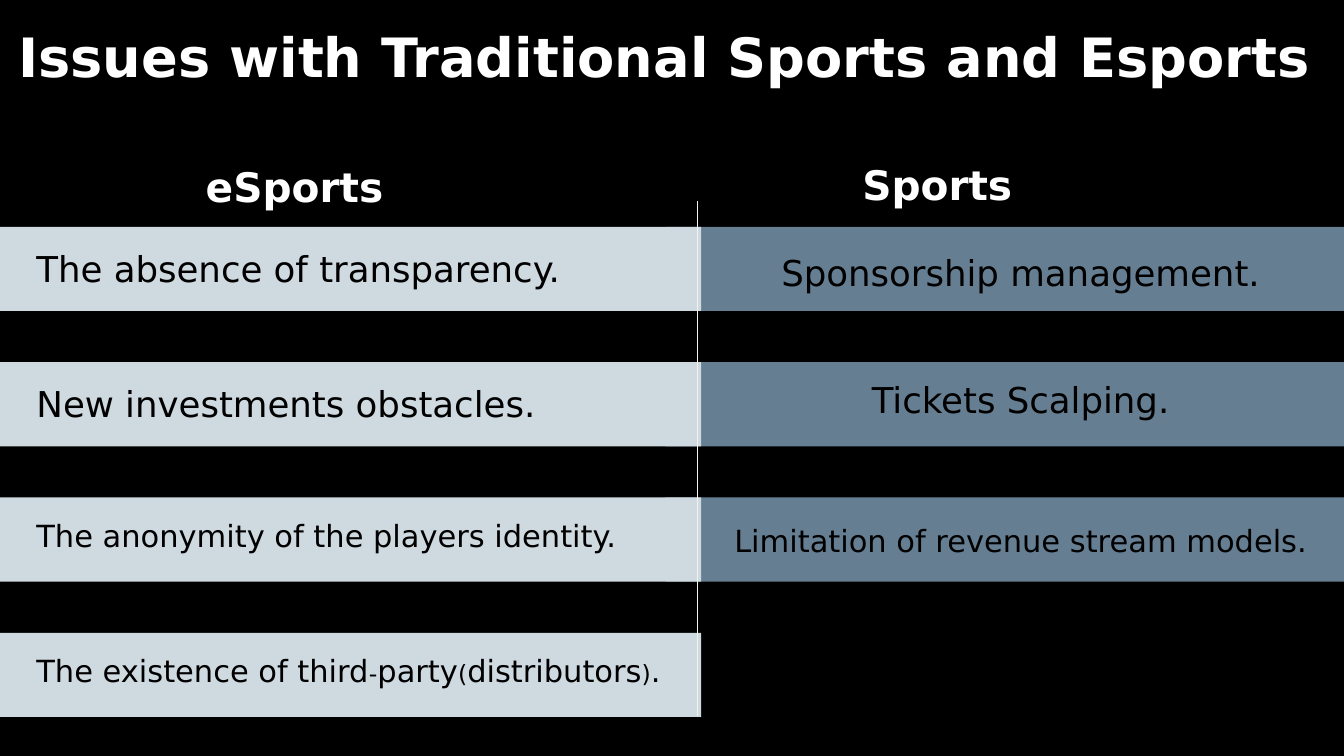
import pptx
import pptx.dml.color
import pptx.enum.shapes
import pptx.enum.text
import pptx.oxml.ns
import pptx.util
from lxml import etree

Inches = pptx.util.Inches
Pt = pptx.util.Pt
RGBColor = pptx.dml.color.RGBColor
Align = pptx.enum.text.PP_ALIGN

BLACK = RGBColor(0x00, 0x00, 0x00)
WHITE = RGBColor(0xFF, 0xFF, 0xFF)
DIVIDER = RGBColor(0xF2, 0xF2, 0xF2)
PALE = RGBColor(0xCF, 0xD9, 0xE0)
SLATE = RGBColor(0x66, 0x7E, 0x92)
FONT = "DejaVu Sans"

WIDTH, HEIGHT = 11.02, 6.2
FIRST_ROW, ROW_PITCH, BAR_HEIGHT = 1.86, 1.11, 0.69
LEFT_BAR_END, RIGHT_BAR_START, DIVIDER_X = 5.75, 5.46, 5.72
LEFT_TEXT, RIGHT_TEXT = 0.2, 5.77
TEXT_WIDTH = 5.2

# Each item: offset of the text below the top of its bar, then (text, size) spans
ESPORTS = [
    (0.12, [("The absence of transparency.", 21)]),
    (0.11, [("New investments obstacles.", 21)]),
    (0.11, [("The anonymity of the players identity.", 18)]),
    (0.11, [("The existence of third", 18), ("-", 14), ("party", 18), ("(", 14),
            ("distributors", 18), (")", 14), (".", 18)]),
]
SPORTS = [
    (0.15, [("Sponsorship management.", 21)]),
    (0.08, [("Tickets Scalping.", 21)]),
    (0.15, [("Limitation of revenue stream models.", 18)]),
]


def fill_text(box, spans, color, align, bold=False):
    """Write (text, size) spans into a box as one paragraph."""
    frame = box.text_frame
    frame.word_wrap = True
    frame.auto_size = pptx.enum.text.MSO_AUTO_SIZE.NONE
    frame.vertical_anchor = pptx.enum.text.MSO_ANCHOR.TOP
    para = frame.paragraphs[0]
    para.alignment = align
    for text, size in spans:
        span = para.add_run()
        span.text = text
        span.font.name = FONT
        span.font.size = Pt(size)
        span.font.bold = bold
        span.font.color.rgb = color


deck = pptx.Presentation()
deck.slide_width, deck.slide_height = Inches(WIDTH), Inches(HEIGHT)
page = deck.slides.add_slide(deck.slide_layouts[5])
page.background.fill.solid()
page.background.fill.fore_color.rgb = BLACK

title = page.shapes.title
title.left, title.top = Inches(0.05), Inches(0.14)
title.width, title.height = Inches(10.95), Inches(0.63)
fill_text(title, [("Issues with Traditional Sports and Esports", 32)], WHITE, Align.LEFT, True)

# Bars: the pale column lies over the start of the slate one
columns = [
    (SPORTS, RIGHT_BAR_START, WIDTH - RIGHT_BAR_START, SLATE),
    (ESPORTS, 0, LEFT_BAR_END, PALE),
]
for items, left, width, color in columns:
    for row in range(len(items)):
        bar = page.shapes.add_shape(
            pptx.enum.shapes.MSO_SHAPE.RECTANGLE, Inches(left),
            Inches(FIRST_ROW + row * ROW_PITCH), Inches(width), Inches(BAR_HEIGHT))
        bar.shadow.inherit = False
        bar.fill.solid()
        bar.fill.fore_color.rgb = color
        bar.line.fill.background()

divider = page.shapes.add_connector(
    pptx.enum.shapes.MSO_CONNECTOR.STRAIGHT,
    Inches(DIVIDER_X), Inches(1.65), Inches(DIVIDER_X), Inches(5.87))
divider.line.color.rgb = DIVIDER
divider.line.width = Pt(0.75)
etree.SubElement(divider.element.spPr, pptx.oxml.ns.qn("a:effectLst"))

for heading, left, top in [("eSports", 1.46, 1.28), ("Sports", 6.73, 1.26)]:
    box = page.shapes.add_textbox(Inches(left), Inches(top), Inches(1.91), Inches(0.5))
    fill_text(box, [(heading, 24)], WHITE, Align.CENTER, True)

for items, left, align in [(ESPORTS, LEFT_TEXT, Align.LEFT), (SPORTS, RIGHT_TEXT, Align.CENTER)]:
    for row, (offset, spans) in enumerate(items):
        box = page.shapes.add_textbox(
            Inches(left), Inches(FIRST_ROW + row * ROW_PITCH + offset),
            Inches(TEXT_WIDTH + 0.2), Inches(0.45))
        box.width = Inches(TEXT_WIDTH if align == Align.CENTER else LEFT_BAR_END - left)
        fill_text(box, spans, BLACK, align)

deck.save("out.pptx")
